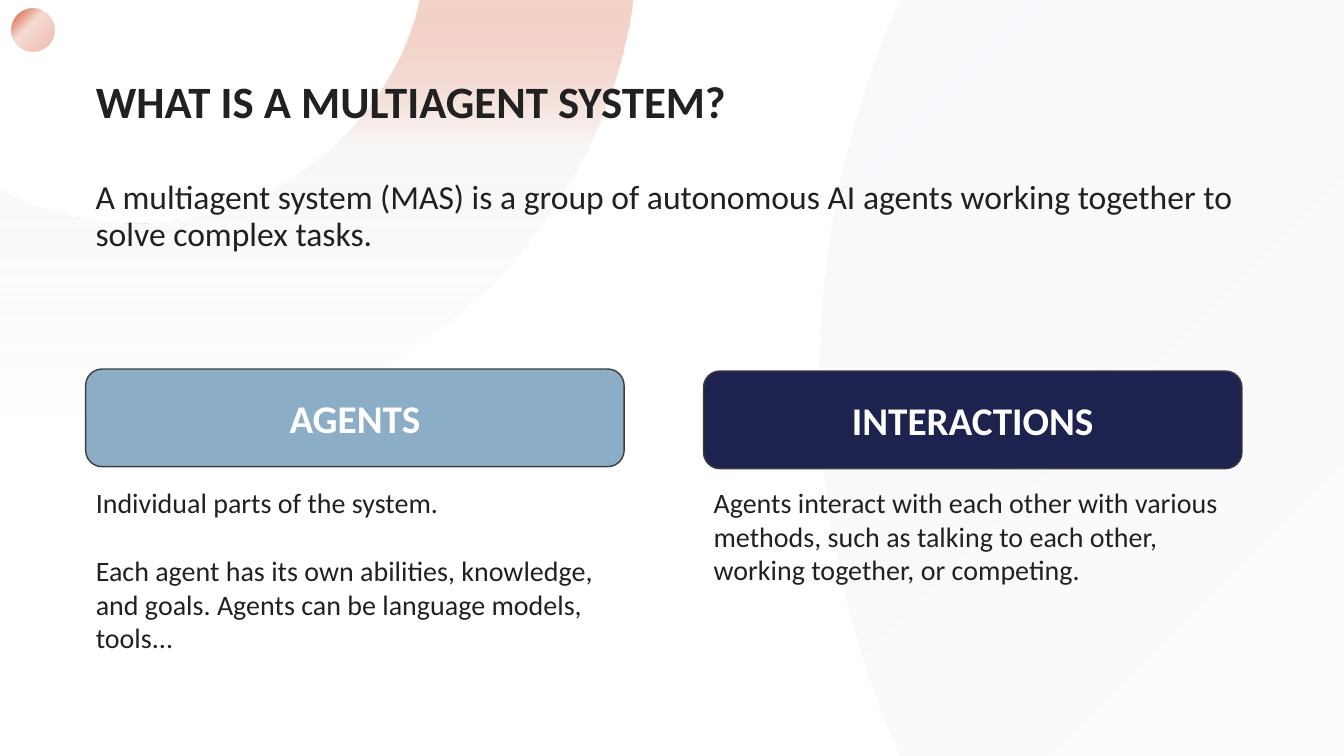
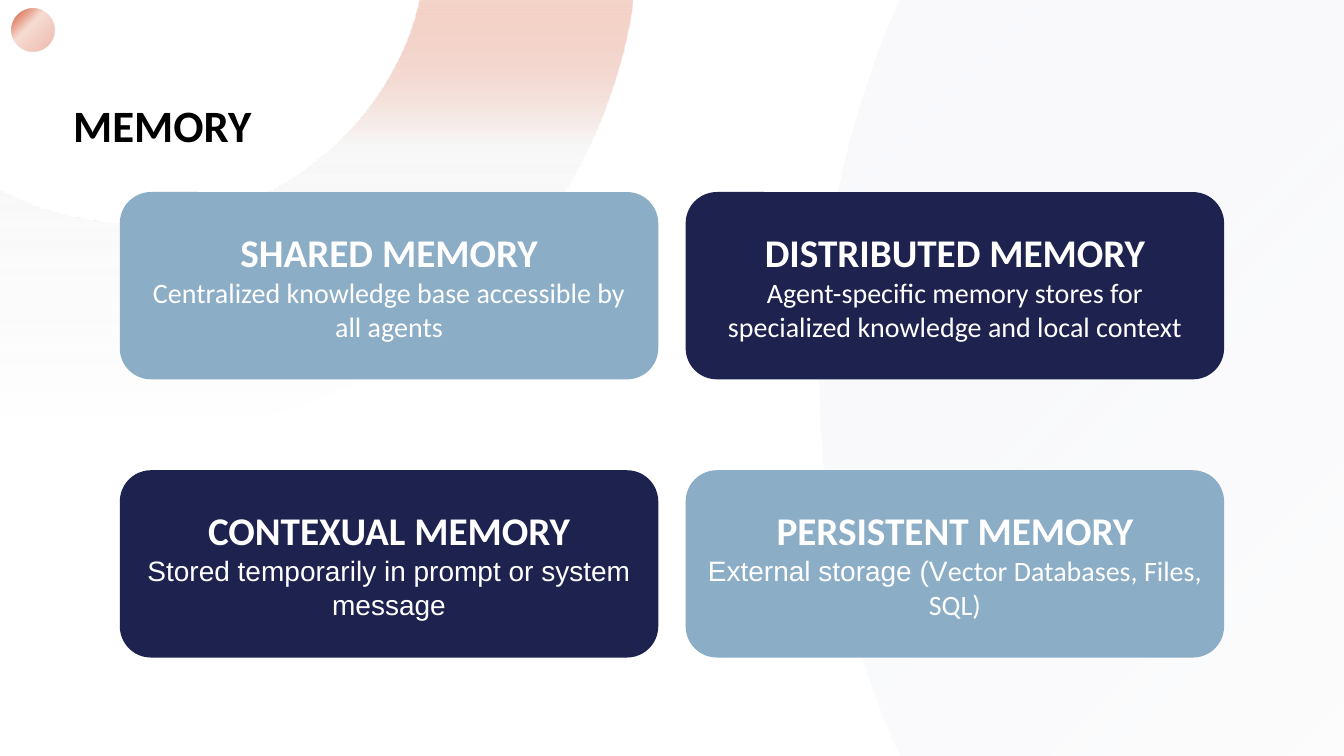
from dataclasses import dataclass

from lxml import etree
from pptx import Presentation
from pptx.dml.color import RGBColor
from pptx.enum import shapes, text
from pptx.oxml import ns
from pptx.util import Cm, Pt


@dataclass(frozen=True)
class Theme:
    sky: str = "8CADC6"
    navy: str = "1E224E"
    ink: str = "212121"
    black: str = "000000"
    white: str = "FFFFFF"
    outline: str = "3D3D3D"
    mist: str = "F2F2F2"
    lilac: str = "C5C8E9"
    coral: str = "D5522B"
    font: str = "Calibri"
    alt_font: str = "Arial"
    title: int = 32
    heading: int = 28
    intro: int = 24
    body: int = 20


T = Theme()

OVERVIEW_TITLE = "WHAT IS A MULTIAGENT SYSTEM?"
INTRO = ("A multiagent system (MAS) is a group of autonomous AI agents "
         "working together to solve complex tasks.")
PARTS = [
    ("AGENTS", T.sky, 9.3, 4.52,
     ["Individual parts of the system.",
      "Each agent has its own abilities, knowledge, and goals. "
      "Agents can be language models, tools..."]),
    ("INTERACTIONS", T.navy, 9.35, 2.82,
     ["Agents interact with each other with various methods, such as "
      "talking to each other, working together, or competing."]),
]

MEMORY_TITLE = "MEMORY"
MEMORIES = [
    ("SHARED MEMORY", T.sky,
     [("Centralized knowledge base accessible by all agents", T.font)]),
    ("DISTRIBUTED MEMORY", T.navy,
     [("Agent-specific memory stores for specialized knowledge and local context",
       T.font)]),
    ("CONTEXUAL MEMORY", T.navy,
     [("Stored temporarily in prompt or system message", T.alt_font)]),
    ("PERSISTENT MEMORY", T.sky,
     [("External storage (V", T.alt_font),
      ("ector Databases, Files, SQL)", T.font)]),
]

LENS = [
    (22.68, 19.05), (33.87, 19.05), (33.87, 0), (22.68, 0), (22.48, 0.43),
    (21.31, 3.23, 20.65, 6.3, 20.65, 9.53),
    (20.65, 12.75, 21.31, 15.82, 22.48, 18.62),
]
RING = [
    (3.43, 10.9), (2.54, 10.9, 1.7, 10.82, 0.86, 10.64), (0, 10.41),
    (0, 4.78), (0.56, 5.05), (1.42, 5.41, 2.41, 5.64, 3.43, 5.64),
    (6.73, 5.64, 9.53, 3.45, 10.46, 0.46), (10.59, -0.05), (15.95, -0.05),
    (15.93, 0.18), (14.99, 6.25, 9.75, 10.9, 3.43, 10.9),
]
LENS_STOPS = [(0, T.mist, 20), (100, T.lilac, 10)]
RING_STOPS = [(0, T.mist, 0), (66, T.mist, 55), (100, T.coral, 25)]
DOT_STOPS = [(0, T.coral, 40), (59, T.coral, 20), (100, T.coral, 100)]


def add_outline(s, outline):
    ends = [(Cm(segment[-2]), Cm(segment[-1])) for segment in outline]
    builder = s.shapes.build_freeform(*ends[0])
    for x, y in ends[1:]:
        builder.add_line_segments([(x, y)], close=False)
    builder.add_line_segments([], close=True)
    sp = builder.convert_to_shape()
    lines = list(sp.element.iter(ns.qn("a:lnTo")))
    for line, segment in zip(lines, outline[1:]):
        if len(segment) == 6:
            curve = etree.Element(ns.qn("a:cubicBezTo"))
            for x, y in zip(segment[::2], segment[1::2]):
                etree.SubElement(curve, ns.qn("a:pt"),
                                 x=str(Cm(x) - sp.left), y=str(Cm(y) - sp.top))
            line.getparent().replace(line, curve)
    return sp


def set_gradient(sp, stops, angle=None):
    sp.shadow.inherit = False
    sp.line.fill.background()
    sp.fill.background()
    grad = etree.Element(ns.qn("a:gradFill"), rotWithShape="1")
    stop_list = etree.SubElement(grad, ns.qn("a:gsLst"))
    for position, color, alpha in stops:
        stop = etree.SubElement(stop_list, ns.qn("a:gs"), pos=str(position * 1000))
        rgb = etree.SubElement(stop, ns.qn("a:srgbClr"), val=color)
        etree.SubElement(rgb, ns.qn("a:alpha"), val=str(alpha * 1000))
    if angle is None:
        circle = etree.SubElement(grad, ns.qn("a:path"), {"path": "circle"})
        etree.SubElement(circle, ns.qn("a:fillToRect"), l="100000", t="100000")
    else:
        etree.SubElement(grad, ns.qn("a:lin"), ang=str(angle * 60000), scaled="0")
    props = sp.element.spPr
    props.replace(props.find(ns.qn("a:noFill")), grad)


def add_backdrop(prs, s):
    lens = add_outline(s, LENS)
    ring = add_outline(s, RING)
    dot = s.shapes.add_shape(shapes.MSO_SHAPE.OVAL, Cm(0.28), Cm(0.21), Cm(1.08), Cm(1.08))
    set_gradient(lens, LENS_STOPS)
    set_gradient(ring, RING_STOPS, 270)
    set_gradient(dot, DOT_STOPS)
    tree = prs.slide_master.shapes.element
    for i, sp in enumerate((lens, ring, dot)):
        sp.element.nvSpPr.cNvPr.set("id", str(101 + i))
        tree.insert(2 + i, sp.element)


def place(sp, left, top, width, height):
    box = {"left": left, "top": top, "width": width, "height": height}
    for name, value in box.items():
        setattr(sp, name, Cm(value))


def add_run(p, words, size, color, bold=False, font=T.font):
    r = p.add_run()
    r.text = words
    for name, value in {"size": Pt(size), "bold": bold, "name": font}.items():
        setattr(r.font, name, value)
    r.font.color.rgb = RGBColor.from_string(color)


def write(sp, paragraphs, size, color, bold=False, spacing=1.0, gap=0):
    tf = sp.text_frame
    frame = {"word_wrap": True, "auto_size": text.MSO_AUTO_SIZE.NONE,
             "vertical_anchor": text.MSO_ANCHOR.TOP}
    for name, value in frame.items():
        setattr(tf, name, value)
    for i, words in enumerate(paragraphs):
        p = tf.add_paragraph() if i else tf.paragraphs[0]
        props = p._p.get_or_add_pPr()
        props.set("marL", "0")
        props.set("indent", "0")
        etree.SubElement(props, ns.qn("a:buNone"))
        layout = {"alignment": text.PP_ALIGN.LEFT, "line_spacing": spacing,
                  "space_before": Pt(gap if i else 0)}
        for name, value in layout.items():
            setattr(p, name, value)
        add_run(p, words, size, color, bold)


def add_title(s, words, color, *box):
    place(s.shapes.title, *box)
    write(s.shapes.title, [words], T.title, color, bold=True, spacing=0.9)


def add_card(s, heading, fill, box, details=(), outline=None):
    sp = s.shapes.add_shape(shapes.MSO_SHAPE.ROUNDED_RECTANGLE, *map(Cm, box))
    sp.shadow.inherit = False
    sp.fill.solid()
    sp.fill.fore_color.rgb = RGBColor.from_string(fill)
    if outline:
        sp.line.color.rgb = RGBColor.from_string(outline)
        sp.line.width = Pt(1)
    else:
        sp.line.fill.background()
    tf = sp.text_frame
    tf.word_wrap = True
    tf.vertical_anchor = text.MSO_ANCHOR.MIDDLE
    p = tf.paragraphs[0]
    p.alignment = text.PP_ALIGN.CENTER
    add_run(p, heading, T.heading, T.white, bold=True)
    if details:
        p = tf.add_paragraph()
        p.alignment = text.PP_ALIGN.CENTER
        for words, font in details:
            add_run(p, words, T.body, T.white, font=font)


def build_overview(s):
    left, pitch, width = 2.16, 15.57, 13.57
    add_title(s, OVERVIEW_TITLE, T.ink, left, 1.88, 22.2, 2.13)
    intro = s.shapes.add_textbox(Cm(left), Cm(4.43), Cm(29.85), Cm(2.41))
    write(intro, [INTRO], T.intro, T.ink, spacing=0.9)
    for i, (heading, fill, top, height, paragraphs) in enumerate(PARTS):
        x = left + i * pitch
        add_card(s, heading, fill, (x, top, width, 2.46), outline=T.outline)
        body = s.placeholders[i + 1]
        place(body, x, 12.11, width, height)
        write(body, paragraphs, T.body, T.ink, gap=24.4)


def build_memory(s):
    add_title(s, MEMORY_TITLE, T.black, 1.59, 2.49, 30.68, 2.13)
    for i, (heading, fill, details) in enumerate(MEMORIES):
        row, col = divmod(i, 2)
        box = (3.02 + col * 14.26, 4.84 + row * 7.01, 13.57, 4.72)
        add_card(s, heading, fill, box, details)


def main():
    prs = Presentation()
    prs.slide_width, prs.slide_height = Cm(33.87), Cm(19.05)
    two_content, title_only = prs.slide_layouts[3], prs.slide_layouts[5]
    overview = prs.slides.add_slide(two_content)
    add_backdrop(prs, overview)
    build_overview(overview)
    build_memory(prs.slides.add_slide(title_only))
    prs.save("out.pptx")


if __name__ == "__main__":
    main()
